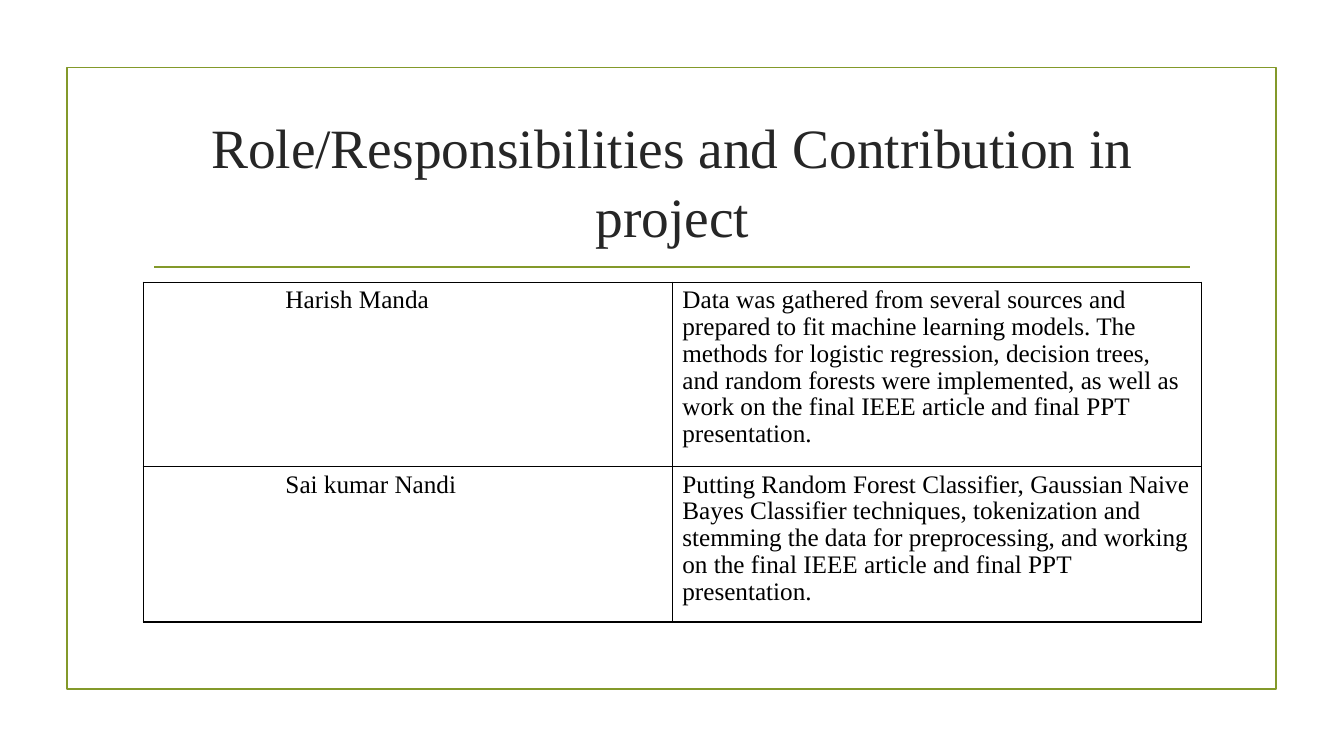
"""Build a slide listing each team member's role and contribution."""
from dataclasses import dataclass

from lxml import etree
from pptx import Presentation
from pptx.dml.color import RGBColor
from pptx.enum.shapes import MSO_CONNECTOR, MSO_SHAPE
from pptx.enum.text import MSO_ANCHOR, PP_ALIGN
from pptx.oxml.ns import qn
from pptx.util import Pt

RECTANGLE = MSO_SHAPE.RECTANGLE
STRAIGHT = MSO_CONNECTOR.STRAIGHT
MIDDLE = MSO_ANCHOR.MIDDLE
CENTER, LEFT = PP_ALIGN.CENTER, PP_ALIGN.LEFT

FONT = "Times New Roman"
GREEN, BLACK, WHITE, TITLE_GRAY = "83992A", "000000", "FFFFFF", "262626"
TABLE_LEFT, TABLE_TOP, COLUMN_WIDTH = 102.24, 201.6, 378
NAME_MARGIN, TEXT_MARGIN = 101.7, 7.2
BORDER_SIDES = ("a:lnL", "a:lnR", "a:lnT", "a:lnB")


@dataclass(frozen=True)
class Contribution:
    member: str
    work: str
    height: float


CONTRIBUTIONS = [
    Contribution(
        "Harish Manda",
        "Data was gathered from several sources and prepared to fit machine "
        "learning models. The methods for logistic regression, decision trees, "
        "and random forests were implemented, as well as work on the final "
        "IEEE article and final PPT presentation.",
        126.5,
    ),
    Contribution(
        "Sai kumar Nandi",
        "Putting Random Forest Classifier, Gaussian Naive Bayes Classifier "
        "techniques, tokenization and stemming the data for preprocessing, and "
        "working on the final IEEE article and final PPT presentation.",
        106.8,
    ),
]


def color(value: str) -> RGBColor:
    return RGBColor.from_string(value)


def write(frame, text: str, size: float, shade: str, align, spacing: float) -> None:
    frame.word_wrap = True
    para = frame.paragraphs[0]
    para.alignment = align
    para.line_spacing = spacing
    span = para.add_run()
    span.text = text
    span.font.name = FONT
    span.font.size = Pt(size)
    span.font.color.rgb = color(shade)


def style_line(line) -> None:
    line.color.rgb = color(GREEN)
    line.width = Pt(1.25)


def add_frame(page) -> None:
    frame = page.shapes.add_shape(RECTANGLE, Pt(47.7), Pt(48.2), Pt(864), Pt(444))
    frame.shadow.inherit = False
    frame.fill.background()
    style_line(frame.line)


def add_rule(page) -> None:
    rule = page.shapes.add_connector(STRAIGHT, Pt(110.2), Pt(190.8), Pt(850.3), Pt(190.8))
    style_line(rule.line)
    etree.SubElement(rule.element.spPr, qn("a:effectLst"))


def add_title(page, text: str) -> None:
    box = page.shapes.add_textbox(Pt(TABLE_LEFT), Pt(77), Pt(2 * COLUMN_WIDTH), Pt(103))
    box.text_frame.vertical_anchor = MIDDLE
    write(box.text_frame, text, 39.6, TITLE_GRAY, CENTER, 1.03)


def add_borders(cell) -> None:
    properties = cell._tc.get_or_add_tcPr()
    for position, side in enumerate(BORDER_SIDES):
        border = etree.Element(qn(side), w=str(Pt(1)))
        fill = etree.SubElement(border, qn("a:solidFill"))
        etree.SubElement(fill, qn("a:srgbClr"), val=BLACK)
        properties.insert(position, border)


def fill_cell(cell, text: str, margin: float) -> None:
    cell.fill.solid()
    cell.fill.fore_color.rgb = color(WHITE)
    cell.margin_left = Pt(margin)
    write(cell.text_frame, text, 18, BLACK, LEFT, 0.96)
    add_borders(cell)


def add_contributions(page, contributions: list[Contribution]) -> None:
    height = sum(entry.height for entry in contributions)
    table = page.shapes.add_table(
        len(contributions), 2,
        Pt(TABLE_LEFT), Pt(TABLE_TOP), Pt(2 * COLUMN_WIDTH), Pt(height),
    ).table
    table.first_row = False
    table.horz_banding = False
    for index, entry in enumerate(contributions):
        table.rows[index].height = Pt(entry.height)
        fill_cell(table.cell(index, 0), entry.member, NAME_MARGIN)
        fill_cell(table.cell(index, 1), entry.work, TEXT_MARGIN)


def main() -> None:
    deck = Presentation()
    deck.slide_width, deck.slide_height = Pt(960), Pt(540)
    page = deck.slides.add_slide(deck.slide_layouts[6])
    add_frame(page)
    add_rule(page)
    add_title(page, "Role/Responsibilities and Contribution in project")
    add_contributions(page, CONTRIBUTIONS)
    deck.save("out.pptx")


if __name__ == "__main__":
    main()
